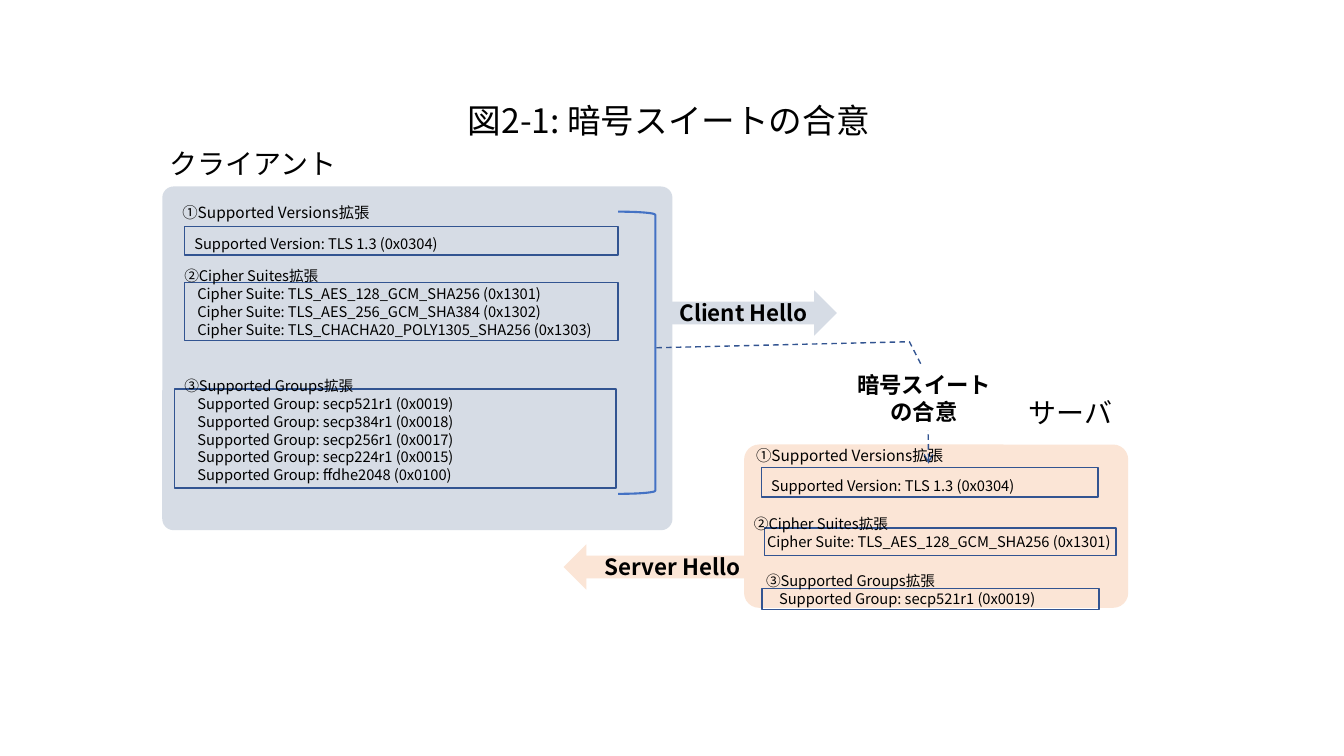
"""Build the TLS cipher suite agreement diagram slide."""
from dataclasses import dataclass

from lxml import etree
from pptx import Presentation
from pptx import util as u
from pptx.dml.color import RGBColor
from pptx.enum import dml, shapes, text
from pptx.oxml.ns import qn


@dataclass(frozen=True)
class Theme:
    font: str = "Noto Sans CJK JP"
    ink: str = "000000"
    white: str = "FFFFFF"
    client: str = "D6DCE5"
    server: str = "FBE5D6"
    frame: str = "325491"
    bracket: str = "4472C4"
    title: float = 24
    role: float = 20
    message: float = 16
    heading: float = 11
    detail: float = 10.5
    leading: float = 1.21
    indent: float = 0.13


T = Theme()
KIND = shapes.MSO_SHAPE

TITLE = ("図2-1: 暗号スイートの合意", (4.54, 0.94, 4.28, 0.5))
PANELS = [
    (T.server, (7.38, 4.41, 3.81, 1.62), 0.092),
    (T.client, (1.61, 1.85, 5.06, 3.41), 0.033),
]
ARROWS = [
    (KIND.RIGHT_ARROW, T.client, (6.28, 2.88, 2.02, 0.45)),
    (KIND.LEFT_ARROW, T.server, (5.59, 5.4, 2.06, 0.45)),
]
FRAMES = [
    (1.83, 2.25, 4.3, 0.28), (1.83, 2.8, 4.3, 0.58), (1.73, 3.86, 4.38, 0.98),
    (7.55, 4.64, 3.34, 0.29), (7.58, 5.24, 3.49, 0.27), (7.56, 5.84, 3.34, 0.21),
]
BRACKET = (6.13, 2.1, 0.37, 2.8)
AGREEMENT_PATH = [(6.51, 3.45), (9.02, 3.39), (9.2, 3.74), (9.21, 4.6)]
AGREEMENT = (["暗号スイート", "の合意"], (8.39, 3.63, 1.55, 0.64))
ROLES = [("クライアント", (1.58, 1.4, 1.88, 0.44)), ("サーバ", (10.1, 3.87, 1.04, 0.44))]
MESSAGES = [
    ("Client Hello", (6.64, 2.92, 1.48, 0.37), False),
    ("Server Hello", (5.9, 5.44, 1.54, 0.37), True),
]
VERSIONS = "①Supported Versions拡張"
VERSION = "Supported Version: TLS 1.3 (0x0304)"
HEADINGS = [(1.71, 1.96, 3.52, 0.29), (7.4, 4.38, 3.52, 0.29)]
VERSION_BOXES = [(1.83, 2.28, 5.08, 0.28), (7.55, 4.68, 4.27, 0.29)]
SUITES = ["TLS_AES_128_GCM_SHA256 (0x1301)", "TLS_AES_256_GCM_SHA384 (0x1302)",
          "TLS_CHACHA20_POLY1305_SHA256 (0x1303)"]
GROUPS = ["secp521r1 (0x0019)", "secp384r1 (0x0018)", "secp256r1 (0x0017)",
          "secp224r1 (0x0015)", "ffdhe2048 (0x0100)"]
LISTS = [
    ("②Cipher Suites拡張", "Cipher Suite: ", SUITES, (1.73, 2.6, 5, 0.81)),
    ("③Supported Groups拡張", "Supported Group: ", GROUPS, (1.73, 3.69, 4.4, 1.34)),
    ("②Cipher Suites拡張", "Cipher Suite: ", SUITES[:1], (7.38, 5.06, 5, 0.45)),
    ("③Supported Groups拡張", "Supported Group: ", GROUPS[:1], (7.5, 5.62, 4.4, 0.63)),
]

prs = Presentation()
prs.slide_width, prs.slide_height = u.Inches(13.33), u.Inches(7.5)
s = prs.slides.add_slide(prs.slide_layouts[5])


def inches(box):
    return [u.Inches(v) for v in box]


def write(sp, lines, size, bold=False, align=text.PP_ALIGN.LEFT, wrap=True, indent=0):
    tf = sp.text_frame
    tf.auto_size = text.MSO_AUTO_SIZE.NONE
    tf.word_wrap = wrap
    tf.vertical_anchor = text.MSO_ANCHOR.TOP
    tf.text = "\n".join(lines)
    for i, p in enumerate(tf.paragraphs):
        p.alignment = align
        p.line_spacing = u.Pt(round(size * T.leading, 1))
        p.font.size, p.font.bold, p.font.name = u.Pt(size), bold, T.font
        p.font.color.rgb = RGBColor.from_string(T.ink)
        ppr = p._p.get_or_add_pPr()
        etree.SubElement(ppr.find(qn("a:defRPr")), qn("a:ea"), typeface=T.font)
        if i and indent:
            ppr.set("marL", str(u.Inches(indent)))


def label(lines, box, size, **style):
    write(s.shapes.add_textbox(*inches(box)), lines, size, **style)


def paint(sp, fill=None, line=None, width=1):
    sp.shadow.inherit = False
    if fill:
        sp.fill.solid()
        sp.fill.fore_color.rgb = RGBColor.from_string(fill)
    else:
        sp.fill.background()
    if line:
        sp.line.color.rgb = RGBColor.from_string(line)
        sp.line.width = u.Pt(width)
    else:
        sp.line.fill.background()
    return sp


def shape(kind, box, **style):
    return paint(s.shapes.add_shape(kind, *inches(box)), **style)


title = s.shapes.title
title.left, title.top, title.width, title.height = inches(TITLE[1])
write(title, [TITLE[0]], T.title)

for fill, box, radius in PANELS:
    shape(KIND.ROUNDED_RECTANGLE, box, fill=fill).adjustments[0] = radius
for kind, fill, box in ARROWS:
    shape(kind, box, fill=fill)
for box in FRAMES:
    shape(KIND.RECTANGLE, box, line=T.frame)
shape(KIND.RIGHT_BRACKET, BRACKET, line=T.bracket, width=1.5)

points = [inches(pt) for pt in AGREEMENT_PATH]
builder = s.shapes.build_freeform(*points[0])
builder.add_line_segments(points[1:], close=False)
path = paint(builder.convert_to_shape(), line=T.frame)
path.line.dash_style = dml.MSO_LINE.DASH
etree.SubElement(path.line._get_or_add_ln(), qn("a:tailEnd"), type="arrow")

write(shape(KIND.RECTANGLE, AGREEMENT[1], fill=T.white), AGREEMENT[0], T.message,
      bold=True, align=text.PP_ALIGN.CENTER, wrap=False)
for name, box in ROLES:
    label([name], box, T.role, wrap=False)
for name, box, wrap in MESSAGES:
    label([name], box, T.message, bold=True, wrap=wrap)
for box in HEADINGS:
    label([VERSIONS], box, T.heading)
for box in VERSION_BOXES:
    label([VERSION], box, T.detail)
for heading, prefix, items, box in LISTS:
    label([heading] + [prefix + item for item in items], box, T.detail, indent=T.indent)

prs.save("out.pptx")
